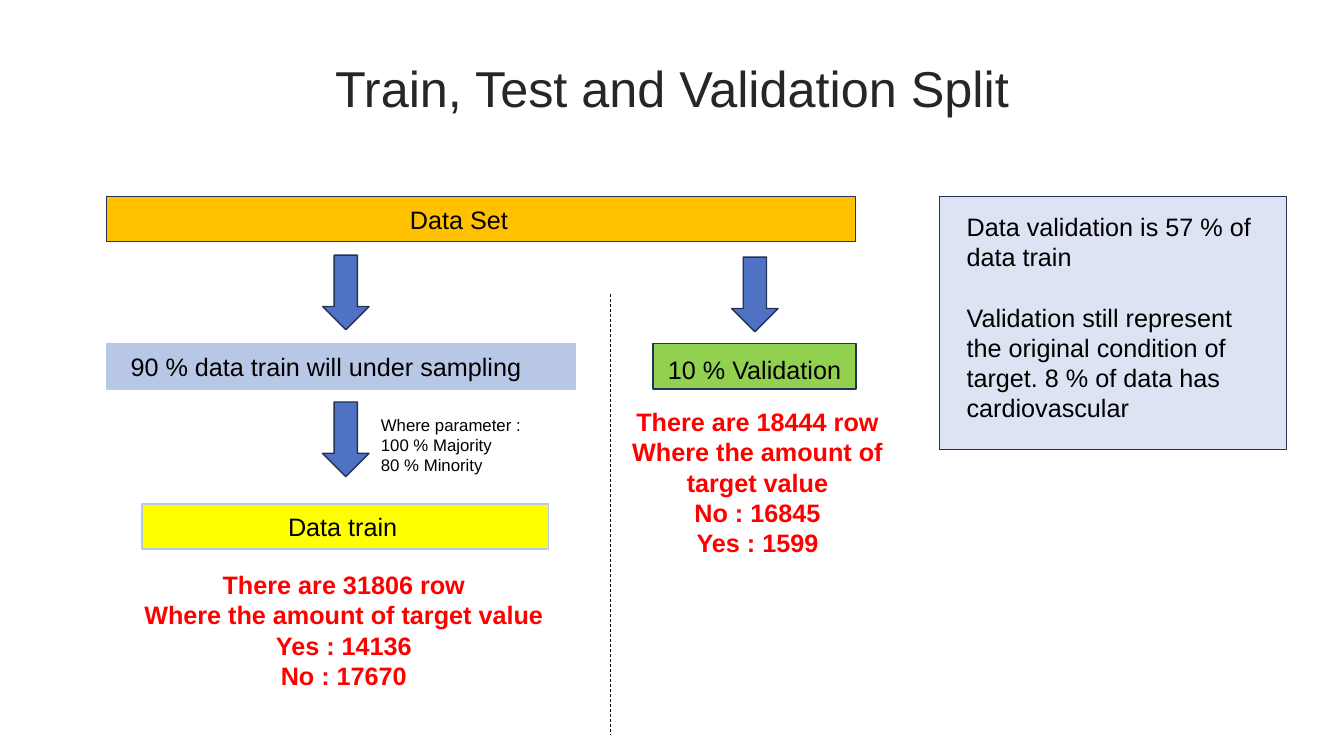
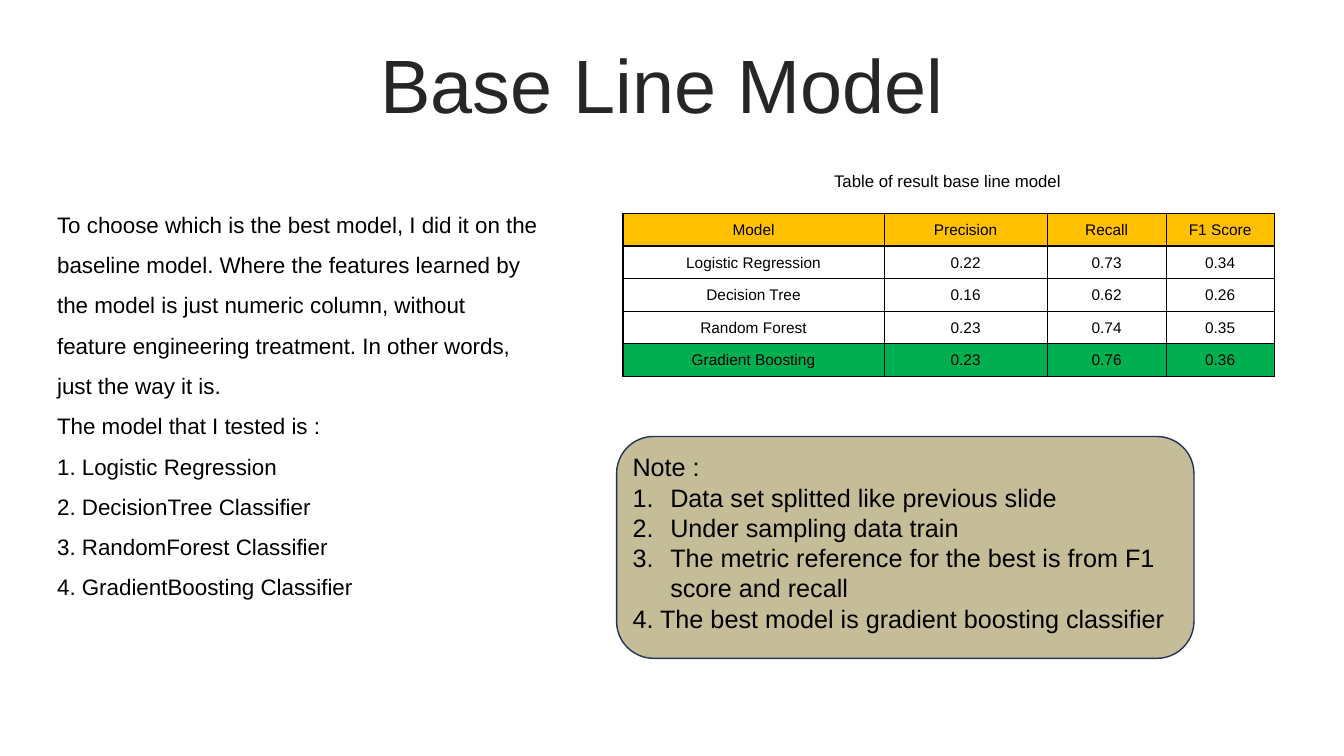
"""Build two slides: the data split and the baseline model results."""
from lxml.etree import SubElement
from pptx import Presentation
from pptx.dml.color import RGBColor
from pptx.enum.dml import MSO_LINE
from pptx.enum.shapes import MSO_CONNECTOR, MSO_SHAPE
from pptx.enum.text import MSO_ANCHOR, MSO_AUTO_SIZE, PP_ALIGN
from pptx.oxml.ns import qn
from pptx.util import Cm, Pt

FONT = "Arial"
BLACK = RGBColor(0x00, 0x00, 0x00)
CHARCOAL = RGBColor(0x26, 0x26, 0x26)
RED = RGBColor(0xFF, 0x00, 0x00)
NAVY = RGBColor(0x23, 0x32, 0x56)
BLUE = RGBColor(0x50, 0x72, 0xC4)
LIGHT_BLUE = RGBColor(0xB9, 0xC7, 0xE7)
PALE_BLUE = RGBColor(0xDC, 0xE3, 0xF3)
AMBER = RGBColor(0xFF, 0xC0, 0x00)
YELLOW = RGBColor(0xFF, 0xFF, 0x00)
LIME = RGBColor(0x92, 0xD0, 0x50)
GREEN = RGBColor(0x00, 0xB0, 0x50)
KHAKI = RGBColor(0xC4, 0xBD, 0x97)
DEFAULT_MARGINS = (0.25, 0.13, 0.25, 0.13)


def write_text(holder, *lines, size=18, color=BLACK, bold=False, align=PP_ALIGN.LEFT,
               anchor=MSO_ANCHOR.TOP, margins=DEFAULT_MARGINS, line_spacing=1.0,
               first_gap=0, gap=0, numbered=()):
    """Write one paragraph per line into a shape or table cell."""
    frame = holder.text_frame
    frame.word_wrap = True
    holder_box = frame if hasattr(holder, "shape_id") else holder
    holder_box.vertical_anchor = anchor
    (holder_box.margin_left, holder_box.margin_top,
     holder_box.margin_right, holder_box.margin_bottom) = [Cm(margin) for margin in margins]
    for index, line in enumerate(lines):
        paragraph = frame.add_paragraph() if index else frame.paragraphs[0]
        paragraph.alignment = align
        paragraph.line_spacing = line_spacing
        paragraph.space_before = Pt(gap if index else first_gap)
        run = paragraph.add_run()
        run.text = line
        run.font.name = FONT
        run.font.size = Pt(size)
        run.font.bold = bold
        run.font.color.rgb = color
        if index in numbered:
            properties = paragraph._p.get_or_add_pPr()
            properties.set("marL", str(Cm(0.95)))
            properties.set("indent", str(-Cm(0.95)))
            SubElement(properties, qn("a:buFont"), typeface="+mj-lt")
            SubElement(properties, qn("a:buAutoNum"), type="arabicPeriod")


def add_block(slide, kind, box, fill, outline=NAVY):
    """Add a filled preset shape with a thin outline."""
    shape = slide.shapes.add_shape(kind, *[Cm(length) for length in box])
    shape.shadow.inherit = False
    shape.fill.solid()
    shape.fill.fore_color.rgb = fill
    shape.line.color.rgb = outline
    shape.line.width = Pt(1)
    return shape


presentation = Presentation()
presentation.slide_width = Cm(33.87)
presentation.slide_height = Cm(19.05)

slides = []
for title_text, title_size, title_top in [("Train, Test and Validation Split", 36, 1.3),
                                          ("Base Line Model ", 54, 1.24)]:
    slide = presentation.slides.add_slide(presentation.slide_layouts[5])
    title = slide.shapes.title
    title.left, title.top, title.width, title.height = Cm(0.86), Cm(title_top), Cm(32.16), Cm(2.01)
    title.text_frame.auto_size = MSO_AUTO_SIZE.NONE
    write_text(title, title_text, size=title_size, color=CHARCOAL, align=PP_ALIGN.CENTER,
               anchor=MSO_ANCHOR.MIDDLE, line_spacing=0.9, first_gap=10)
    slides.append(slide)
split_slide, model_slide = slides

for label, left, top, width, fill, outline, margins in [
    ("Data Set", 2.69, 4.95, 18.87, AMBER, NAVY, (0, 0, 1.12, 0)),
    ("90 % data train will under sampling", 2.69, 8.66, 11.81, LIGHT_BLUE, LIGHT_BLUE, (0, 0, 0.76, 0)),
    ("10 % Validation", 16.46, 8.66, 5.11, LIME, NAVY, (0, 0.16, 0, 0)),
    ("Data train", 3.58, 12.7, 10.24, YELLOW, LIGHT_BLUE, (0, 0, 0.13, 0)),
]:
    bar = add_block(split_slide, MSO_SHAPE.RECTANGLE, (left, top, width, 1.14), fill, outline)
    write_text(bar, label, align=PP_ALIGN.CENTER, anchor=MSO_ANCHOR.MIDDLE, margins=margins)

for left, top in [(8.13, 6.43), (18.44, 6.48), (8.13, 10.13)]:
    add_block(split_slide, MSO_SHAPE.DOWN_ARROW, (left, top, 1.17, 1.88), BLUE)

divider = split_slide.shapes.add_connector(MSO_CONNECTOR.STRAIGHT, Cm(15.37), Cm(7.42), Cm(15.37), Cm(18.52))
divider.line.color.rgb = BLACK
divider.line.width = Pt(0.5)
divider.line.dash_style = MSO_LINE.DASH
SubElement(divider._element.spPr, qn("a:effectLst"))

panel = add_block(split_slide, MSO_SHAPE.RECTANGLE, (23.67, 4.95, 8.76, 6.38), PALE_BLUE)
write_text(panel, "Data validation is 57 % of data train",
           "Validation still represent the original condition of target. 8 % of data has cardiovascular",
           margins=(0.69, 0.38, 0.79, 0.13), gap=21.5)

count_format = {"color": RED, "bold": True, "align": PP_ALIGN.CENTER}
for slide, box, lines, text_format in [
    (split_slide, (9.35, 10.31, 7.34, 1.8),
     ["Where parameter :", "100 % Majority", "80 % Minority"], {"size": 12}),
    (split_slide, (3.28, 14.22, 10.77, 3.33),
     ["There are 31806 row", "Where the amount of target value", "Yes : 14136", "No : 17670"],
     count_format),
    (split_slide, (15.32, 10.11, 7.54, 4.11),
     ["There are 18444 row", "Where the amount of target value", "No : 16845", "Yes : 1599"],
     count_format),
    (model_slide, (1.19, 4.85, 12.65, 10.39),
     ["To choose which is the best model, I did it on the baseline model. Where the features "
      "learned by the model is just numeric column, without feature engineering treatment. "
      "In other words, just the way it is.",
      "The model that I tested is :", "1. Logistic Regression", "2. DecisionTree Classifier",
      "3. RandomForest Classifier", "4. GradientBoosting Classifier"],
     {"size": 16, "line_spacing": 1.5}),
    (model_slide, (19.79, 4.17, 8.18, 0.76),
     ["Table of result base line model"], {"size": 12, "align": PP_ALIGN.CENTER}),
]:
    text_box = slide.shapes.add_textbox(*[Cm(length) for length in box])
    write_text(text_box, *lines, **text_format)

results = [
    ("Model", "Precision", "Recall", "F1 Score"),
    ("Logistic Regression", "0.22", "0.73", "0.34"),
    ("Decision Tree", "0.16", "0.62", "0.26"),
    ("Random Forest", "0.23", "0.74", "0.35"),
    ("Gradient Boosting", "0.23", "0.76", "0.36"),
]
row_fills = {0: AMBER, len(results) - 1: GREEN}
column_widths = [6.58, 4.11, 3.0, 2.72]
table = model_slide.shapes.add_table(len(results), len(column_widths), Cm(15.7), Cm(5.38),
                                     Cm(sum(column_widths)), Cm(0.82 * len(results))).table
table.first_row = False
table.horz_banding = False
for column, width in zip(table.columns, column_widths):
    column.width = Cm(width)
for row_index, values in enumerate(results):
    table.rows[row_index].height = Cm(0.82)
    for column_index, value in enumerate(values):
        cell = table.cell(row_index, column_index)
        write_text(cell, value, size=11, align=PP_ALIGN.CENTER, anchor=MSO_ANCHOR.MIDDLE,
                   margins=(0.02, 0.02, 0.02, 0))
        cell_properties = cell._tc.get_or_add_tcPr()
        for side in ("a:lnL", "a:lnR", "a:lnT", "a:lnB"):
            border = SubElement(cell_properties, qn(side), w=str(Pt(1)))
            border_fill = SubElement(border, qn("a:solidFill"))
            SubElement(border_fill, qn("a:srgbClr"), val=str(BLACK))
        if row_index in row_fills:
            cell.fill.solid()
            cell.fill.fore_color.rgb = row_fills[row_index]
        else:
            cell.fill.background()

note = add_block(model_slide, MSO_SHAPE.ROUNDED_RECTANGLE, (15.54, 11, 14.55, 5.59), KHAKI)
write_text(note, "Note :", "Data set splitted like previous slide", "Under sampling data train",
           "The metric reference for the best is from F1 score and recall",
           "4. The best model is gradient boosting classifier",
           margins=(0.13, 0.11, 0.24, 0.11), numbered=range(1, 4))

presentation.save("out.pptx")
